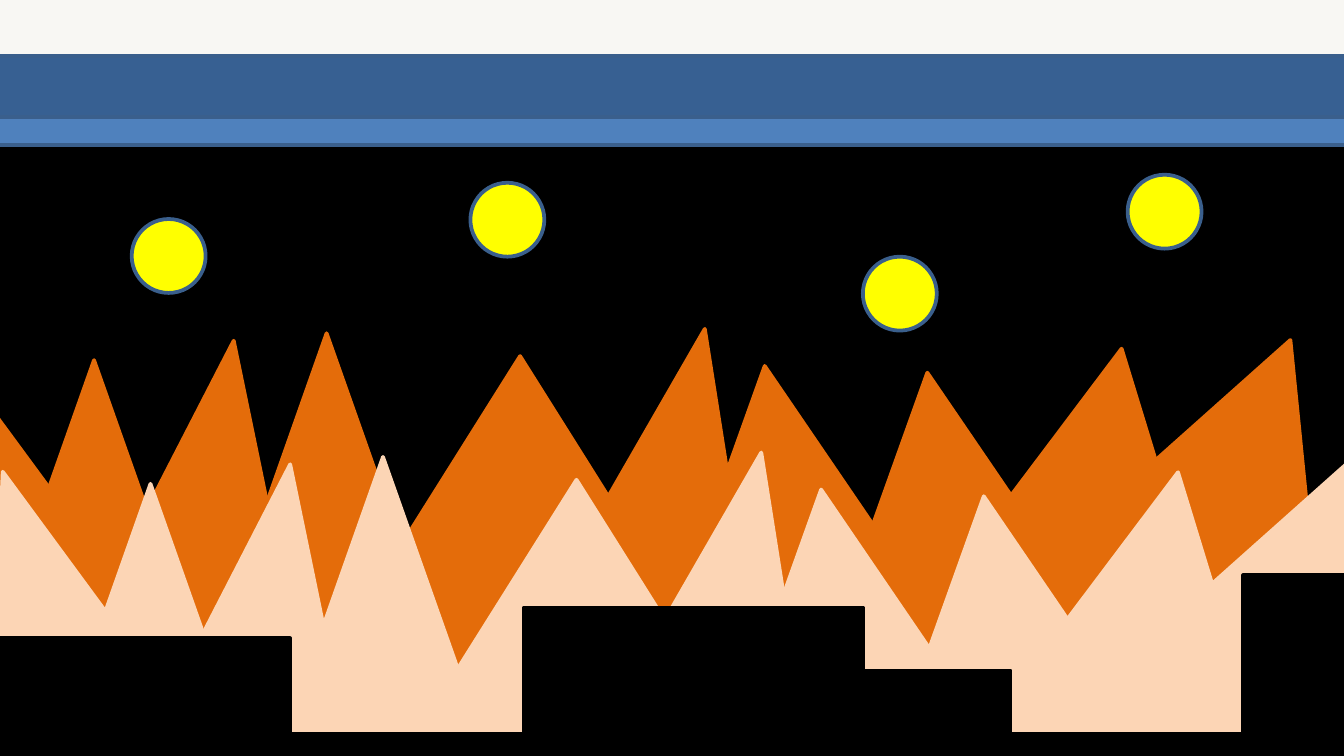
from pptx import Presentation
from pptx.dml.color import RGBColor
from pptx.enum.shapes import MSO_SHAPE
from pptx.util import Inches, Pt

COLORS = {
    "night": "000000",
    "light_blue": "4F81BD",
    "deep_blue": "376092",
    "outline": "3A5F8C",
    "paper": "F8F7F3",
    "ball": "FFFF00",
    "orange": "E46C0A",
    "peach": "FCD5B5",
}

deck = Presentation()
deck.slide_width = Inches(10)
deck.slide_height = deck.slide_width * 9 // 16
scene = deck.slides.add_slide(deck.slide_layouts[6])
scene.background.fill.solid()
scene.background.fill.fore_color.rgb = RGBColor.from_string(COLORS["night"])

CELL = deck.slide_width / 100


def draw(layer, kind, col, row, cols, rows, fill, line, turn=0):
    piece = layer.add_shape(kind, *(round(n * CELL) for n in (col, row, cols, rows)))
    piece.rotation = turn
    piece.shadow.inherit = False
    piece.fill.solid()
    piece.fill.fore_color.rgb = RGBColor.from_string(COLORS[fill])
    piece.line.color.rgb = RGBColor.from_string(COLORS[line])
    piece.line.width = Pt(2)


BALL = 5.5
skies = [
    ("light_blue", (-3.5, -2.6, 112.6, 13.4), [(9.8, 16.3), (64.2, 19.1)]),
    ("deep_blue", (-4.7, -3.7, 112.6, 12.4), [(35, 13.6), (83.9, 13)]),
]
for band_color, band, balls in skies:
    sky = scene.shapes.add_group_shape().shapes
    draw(sky, MSO_SHAPE.RECTANGLE, *band, band_color, "outline")
    for col, row in balls:
        draw(sky, MSO_SHAPE.OVAL, col, row, BALL, BALL, "ball", "outline")

draw(scene.shapes, MSO_SHAPE.RECTANGLE, -8.3, -4.9, 112.6, 9.1, "paper", "outline")

PEAK_HEIGHT = 32.3
NARROW, MEDIUM, WIDE = 22.8, 32.9, 40.6
peaks = [
    (-4.4, 26.8, NARROW, 0),
    (3.8, 25.2, NARROW, 7.8),
    (12.9, 24.8, NARROW, 0),
    (-10.7, 25.2, NARROW, 343.1),
    (18.4, 26.5, WIDE, 0),
    (38.1, 24.2, NARROW, 10.5),
    (42.5, 27.1, MEDIUM, 352.7),
    (54.6, 27.6, MEDIUM, 352.7),
    (64.2, 25.7, MEDIUM, 10),
    (73.7, 24.2, MEDIUM, 21.3),
]
for range_color, right, down in [("orange", 0, 0), ("peach", 4.2, 9.2)]:
    mountains = scene.shapes.add_group_shape().shapes
    for col, row, cols, turn in peaks:
        draw(mountains, MSO_SHAPE.ISOSCELES_TRIANGLE, col + right, row + down,
             cols, PEAK_HEIGHT, range_color, range_color, turn)

blocks = [
    (-2, 47.5, 23.6, 60.1),
    (18.5, 54.6, 22, 53),
    (39, 45.2, 25.2, 66.4),
    (57.9, 49.9, 17.3, 64.8),
    (72.8, 54.6, 22, 57),
    (92.5, 42.8, 22, 64.8),
]
ground = scene.shapes.add_group_shape().shapes
for block in blocks:
    draw(ground, MSO_SHAPE.RECTANGLE, *block, "night", "night")

deck.save("out.pptx")
